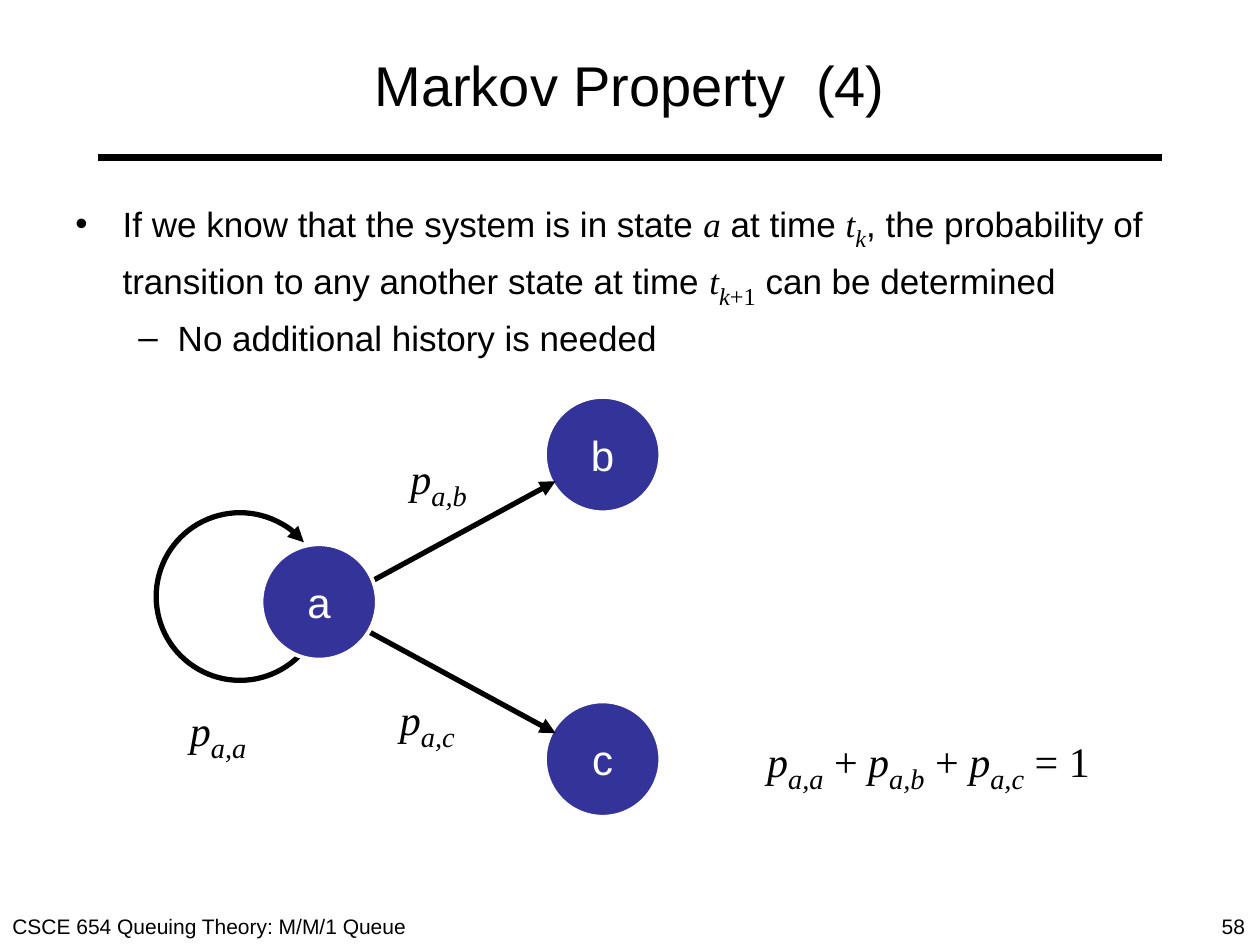
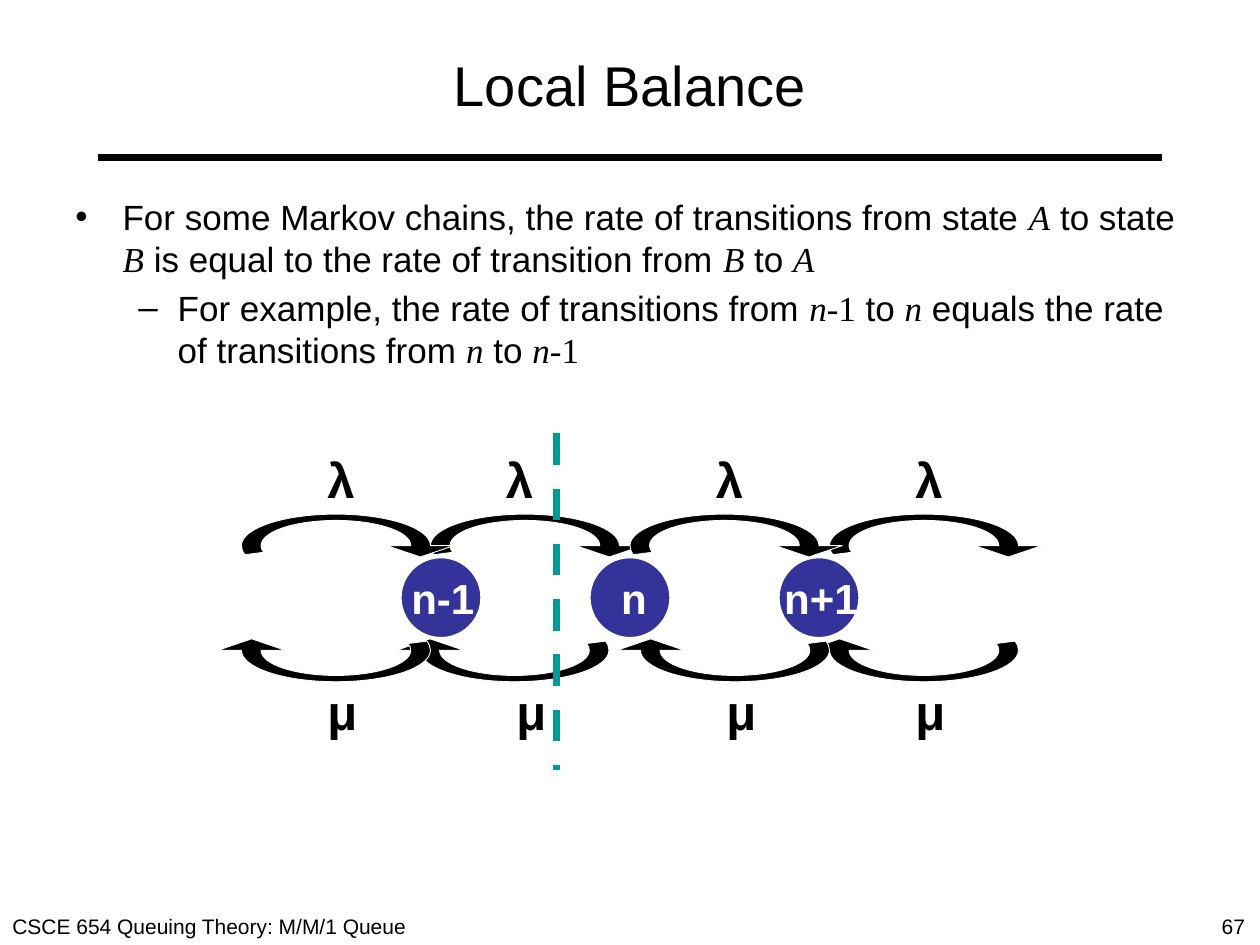
from lxml import etree
from pptx import Presentation
from pptx.dml.color import RGBColor
from pptx.enum.dml import MSO_LINE
from pptx.enum.shapes import MSO_CONNECTOR, MSO_SHAPE
from pptx.enum.text import MSO_ANCHOR, MSO_AUTO_SIZE, PP_ALIGN
from pptx.oxml.ns import qn
from pptx.util import Pt

OVAL, ARC = MSO_SHAPE.OVAL, MSO_SHAPE.ARC
LINE, DASH = MSO_CONNECTOR.STRAIGHT, MSO_LINE.DASH
MID, MIDDLE = PP_ALIGN.CENTER, MSO_ANCHOR.MIDDLE
GROW = MSO_AUTO_SIZE.SHAPE_TO_FIT_TEXT

HEX = {"ink": "000000", "paper": "FFFFFF", "node": "333399", "cut": "009999"}
SANS, SERIF = "Arial", "Times New Roman"
STYLES = {
    "text": {"name": SANS},
    "var": {"name": SERIF, "italic": True},
    "num": {"name": SERIF},
    "sub": {"name": SERIF, "italic": True},
    "subnum": {"name": SERIF},
    "bold": {"name": SANS, "bold": True},
}
LEVELS = [("•", 27, -27), ("–", 58.5, -22.5)]
FOOTER = "CSCE 654 Queuing Theory: M/M/1 Queue"

MARKOV = {
    "title": "Markov Property  (4)",
    "page": "58",
    "body": [
        [("If we know that the system is in state ", "text"), ("a", "var"),
         (" at time ", "text"), ("t", "var"), ("k", "sub"),
         (", the probability of transition to any another state at time ", "text"),
         ("t", "var"), ("k", "sub"), ("+1", "subnum"),
         (" can be determined", "text")],
        [("No additional history is needed", "text")],
    ],
}
BALANCE = {
    "title": "Local Balance",
    "page": "67",
    "body": [
        [("For some Markov chains, the rate of transitions from state ", "text"),
         ("A", "var"), (" to state ", "text"), ("B", "var"),
         (" is equal to the rate of transition from ", "text"),
         ("B", "var"), (" to ", "text"), ("A", "var")],
        [("For example, the rate of transitions from ", "text"),
         ("n", "var"), ("-1", "num"), (" to ", "text"), ("n", "var"),
         (" equals the rate of transitions from ", "text"),
         ("n", "var"), (" to ", "text"), ("n", "var"), ("-1", "num")],
    ],
}

HUB = ("a", 149.4, 311)
STATES = [("b", 311.4, 226.8), ("c", 311.4, 400.8)]
EDGES = [(317.5, 275), (317.5, 419)]
START = (185, 347)
LOOP = (89.3, 293, 95.8, 95.8)
LOOP_ENDS = (29.7, 319.7)
PROBS = [("a,a", 101.5, 395, 50.4), ("a,c", 221.4, 388.8, 49),
         ("a,b", 227.5, 251, 50.4)]
SUM = (431.3, 412.6, 218.2, 36.7)

CHAIN = [("n-1", 228, 228, 50.4), ("n", 336, 347.8, 28.8),
         ("n+1", 444, 441, 56.2)]
RATES = [
    ("λ", 1, 311.8, 253.4, 29.5, [(474, 516), (246, 282), (360, 402), (138, 180)]),
    ("μ", -1, 371.6, 386, 31, [(474, 516), (240, 288), (366, 408), (138, 180)]),
]
BOW_WIDE, BOW_HIGH = 108, 36
BOW = [
    ("M", (42.8, 0)),
    ("C", (42.8, -8), (23.6, -14.4), (0, -14.4)),
    ("C", (-23.6, -14.4), (-42.8, -8), (-42.8, 0)),
    ("C", (-42.8, 1.3), (-42.3, 2.6), (-41.2, 3.8)),
    ("L", (-52, 5.2)),
    ("C", (-53.3, 3.5), (-54, 1.8), (-54, 0)),
    ("C", (-54, -10), (-29.8, -18), (0, -18)),
    ("C", (29.8, -18), (54, -10), (54, 0)),
    ("L", (54, 0)), ("L", (67.4, 0)), ("L", (48.2, 6.5)), ("L", (29, 0)),
]


def color(key):
    return RGBColor.from_string(HEX[key])


def put(thing, **vals):
    for key, val in vals.items():
        setattr(thing, key, val)


def write(para, runs, size, sub=24, ink="ink"):
    for text, style in runs:
        run = para.add_run()
        run.text = text
        low = style.startswith("sub")
        put(run.font, size=Pt(sub if low else size), **STYLES[style])
        run.font.color.rgb = color(ink)
        if low:
            run.font._element.set("baseline", "-25000")


def label(slide, box, runs, size, wrap=False, sub=28, ink="ink", **frame):
    area = slide.shapes.add_textbox(*map(Pt, box)).text_frame
    put(area, word_wrap=wrap, **frame)
    write(area.paragraphs[0], runs, size, sub, ink)
    return area


def stroke(shape, ink, width, head=False, dash=None):
    shape.line.color.rgb = color(ink)
    put(shape.line, width=Pt(width), dash_style=dash)
    if head:
        ln = shape._element.spPr.find(qn("a:ln"))
        etree.SubElement(ln, qn("a:tailEnd"), type="triangle")


def join(slide, start, end, ink, width, **look):
    link = slide.shapes.add_connector(LINE, *map(Pt, start + end))
    stroke(link, ink, width, **look)
    etree.SubElement(link._element.spPr, qn("a:effectLst"))


def paint(shape, fill, ink, width):
    shape.shadow.inherit = False
    shape.fill.solid()
    shape.fill.fore_color.rgb = color(fill)
    stroke(shape, ink, width)


def disc(slide, left, top, size, width):
    shape = slide.shapes.add_shape(OVAL, *map(Pt, (left, top, size, size)))
    paint(shape, "node", "paper", width)
    return shape


def state(slide, name, left, top):
    area = disc(slide, left, top, 66, 2.25).text_frame
    put(area, word_wrap=False, vertical_anchor=MIDDLE)
    area.paragraphs[0].alignment = MID
    write(area.paragraphs[0], [(name, "text")], 24, ink="paper")


def bow(slide, left, mid, sign):
    dots = [(Pt(left + BOW_WIDE / 2 + sign * x), Pt(mid + sign * y))
            for _, *spots in BOW for x, y in spots]
    form = slide.shapes.build_freeform(*dots[0], scale=1.0)
    form.add_line_segments(dots[1:], close=True)
    shape = form.convert_to_shape()
    box = {"left": Pt(left), "top": Pt(mid - BOW_HIGH / 2),
           "width": Pt(BOW_WIDE), "height": Pt(BOW_HIGH)}
    put(shape, **box)
    route = next(shape._element.iter(qn("a:path")))
    route.set("w", str(box["width"]))
    route.set("h", str(box["height"]))
    for spot, (x, y) in zip(route.iter(qn("a:pt")), dots):
        spot.set("x", str(x - box["left"]))
        spot.set("y", str(y - box["top"]))
    steps = iter(list(route))
    for kind, *spots in BOW:
        step = next(steps)
        if kind == "C":
            curve = etree.Element(qn("a:cubicBezTo"))
            step.addprevious(curve)
            for part in (step, next(steps), next(steps)):
                curve.append(part[0])
                route.remove(part)
    paint(shape, "ink", "paper", 0.5)


def base(deck, data):
    slide = deck.slides.add_slide(deck.slide_layouts[6])
    join(slide, (56.25, 90), (663.75, 90), "ink", 4.5)
    label(slide, (691, 518.4, 29, 21.6), [(data["page"], "text")], 12, auto_size=GROW)
    label(slide, (0, 518.4, 294, 21.6), [(FOOTER, "text")], 12, True, auto_size=GROW)
    head = label(slide, (36, 12, 648, 72), [(data["title"], "text")], 32, True,
                 vertical_anchor=MIDDLE)
    head.paragraphs[0].alignment = MID
    area = slide.shapes.add_textbox(*map(Pt, (36, 108, 648, 374.4))).text_frame
    area.word_wrap = True
    for level, runs in enumerate(data["body"]):
        para = area.add_paragraph() if level else area.paragraphs[0]
        para.level = level
        mark, left, hang = LEVELS[level]
        props = para._p.get_or_add_pPr()
        props.set("marL", str(Pt(left)))
        props.set("indent", str(Pt(hang)))
        gap = etree.SubElement(props, qn("a:spcBef"))
        etree.SubElement(gap, qn("a:spcPct"), val="20000")
        etree.SubElement(props, qn("a:buFont"), typeface=SANS)
        etree.SubElement(props, qn("a:buChar"), char=mark)
        write(para, runs, 20)
    return slide


def markov(deck):
    slide = base(deck, MARKOV)
    loop = slide.shapes.add_shape(ARC, *map(Pt, LOOP))
    loop.shadow.inherit = False
    loop.fill.background()
    for i, angle in enumerate(LOOP_ENDS):
        loop.adjustments[i] = angle * 0.6
    stroke(loop, "ink", 3, head=True)
    for spot in STATES:
        state(slide, *spot)
    for end in EDGES:
        join(slide, START, end, "ink", 3, head=True)
    state(slide, *HUB)
    for pair, left, top, wide in PROBS:
        label(slide, (left, top, wide, 41), [("p", "var"), (pair, "sub")], 24,
              auto_size=GROW)
    terms = []
    for pair, sign in (("a,a", "+"), ("a,b", "+"), ("a,c", "= 1")):
        lead = " p" if terms else "p"
        terms += [(lead, "var"), (pair, "sub"), (" ", "var"), (sign, "num")]
    label(slide, SUM, terms, 24, auto_size=GROW)


def balance(deck):
    slide = base(deck, BALANCE)
    for name, left, at, wide in CHAIN:
        disc(slide, left, 317.5, 48, 3)
    for sign, turn, mid, top, wide, spots in RATES:
        for left, at in spots:
            bow(slide, left, mid, turn)
            label(slide, (at, top, wide, 41), [(sign, "bold")], 28, auto_size=GROW)
    for name, left, at, wide in CHAIN:
        label(slide, (at, 323.6, wide, 36), [(name, "bold")], 24, ink="paper",
              auto_size=GROW)
    join(slide, (318, 247.7), (318, 440), "cut", 4.5, dash=DASH)


def main():
    deck = Presentation()
    put(deck, slide_width=Pt(720), slide_height=Pt(540))
    markov(deck)
    balance(deck)
    deck.save("out.pptx")


if __name__ == "__main__":
    main()
